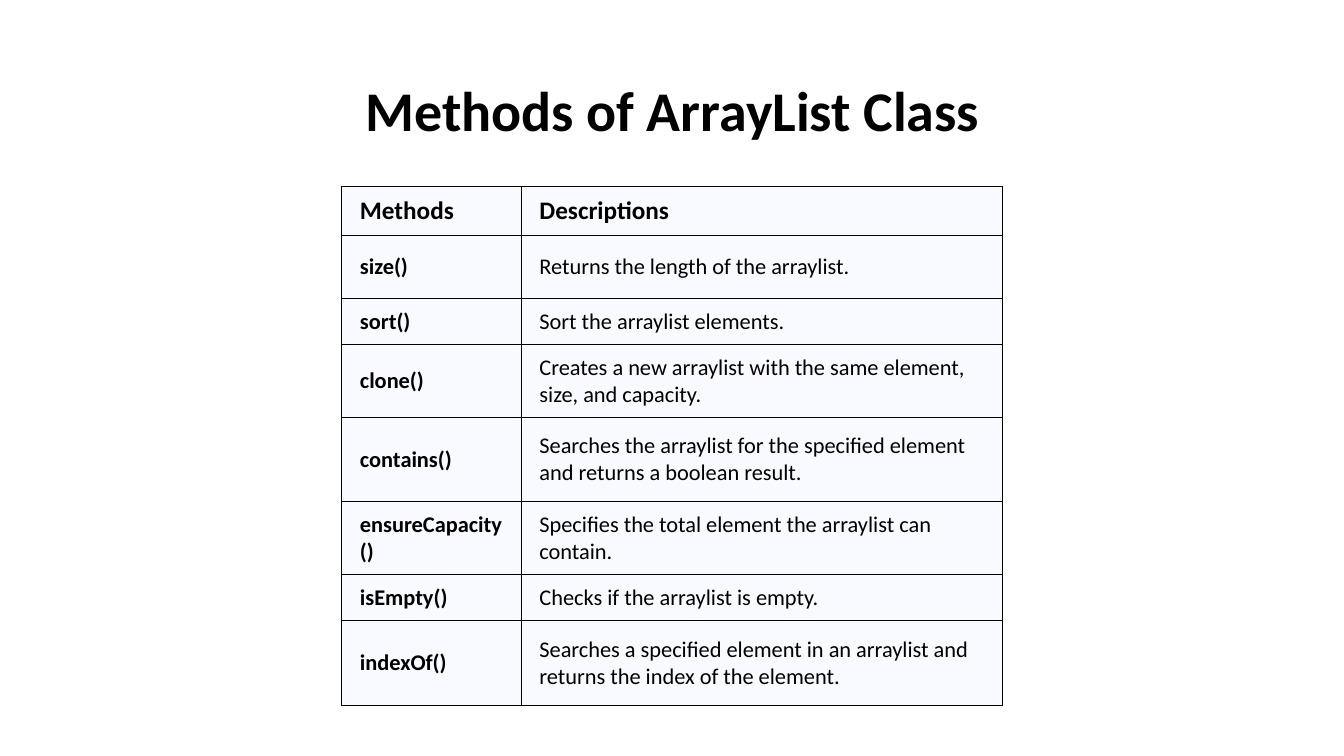
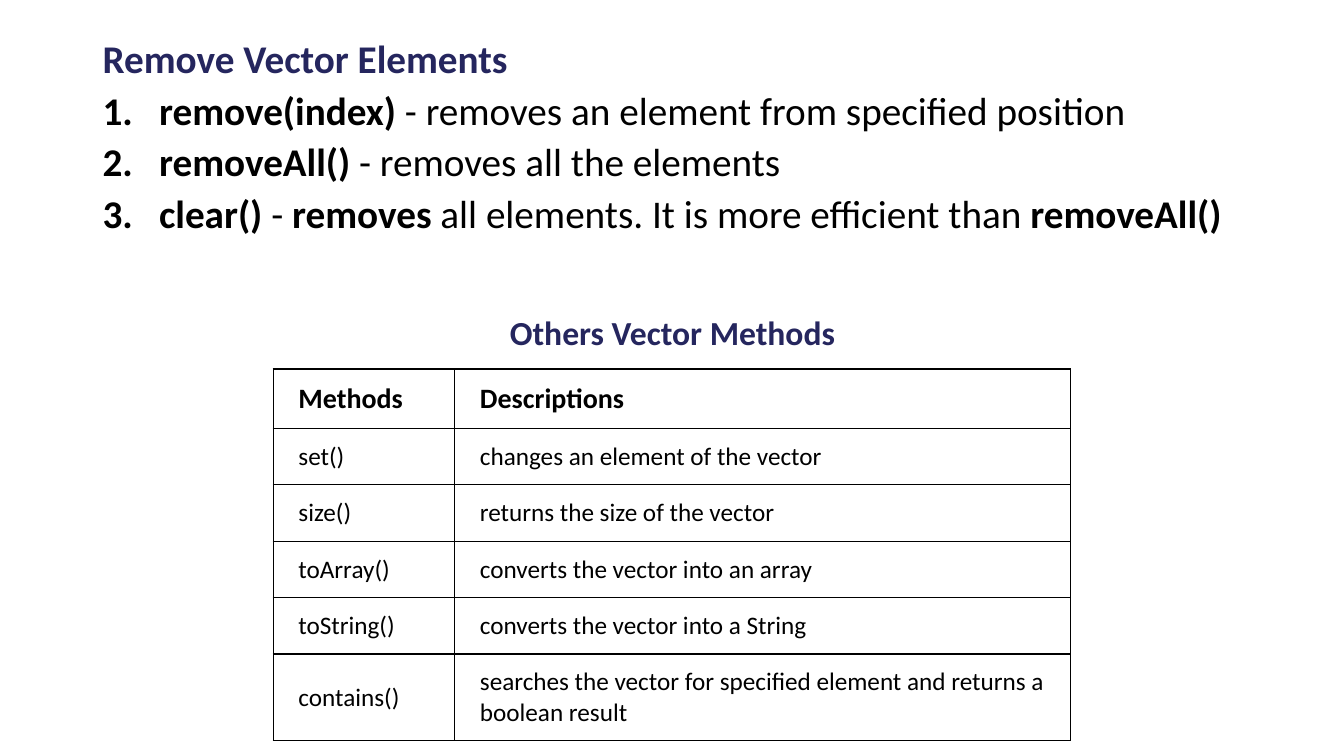
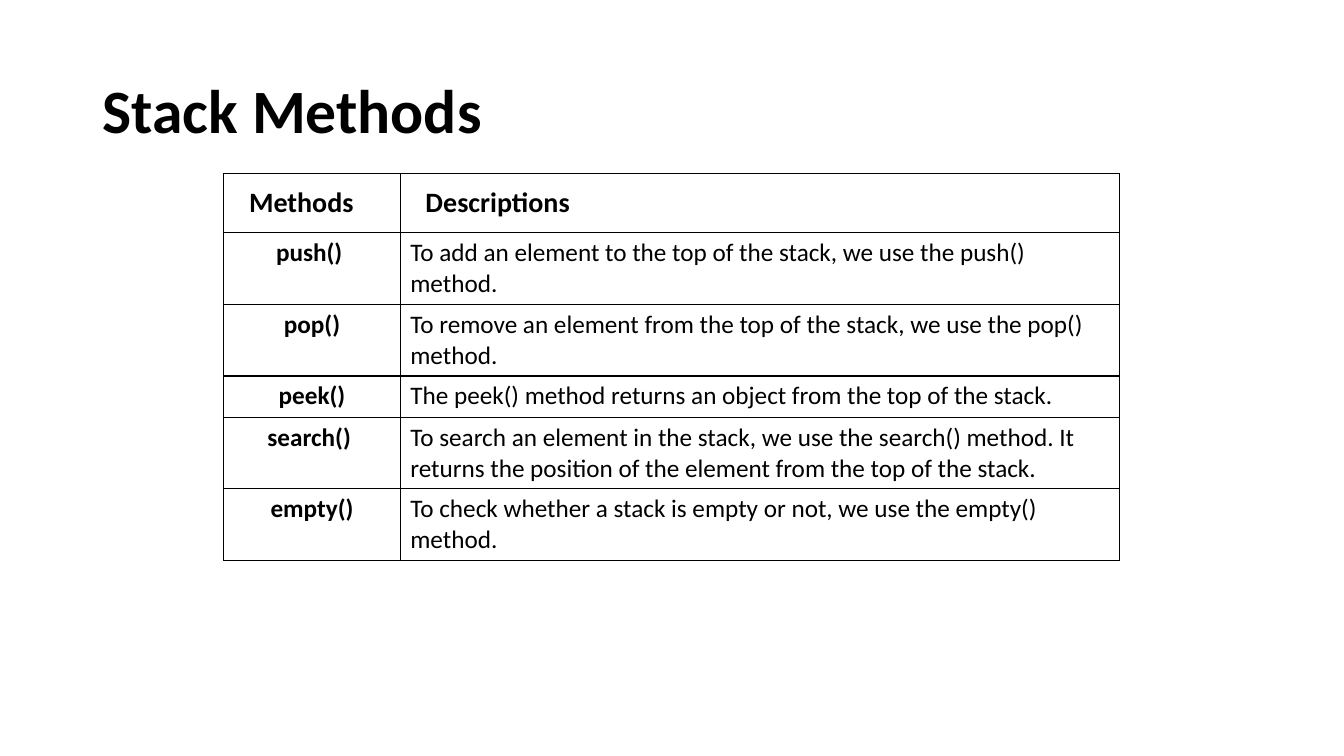
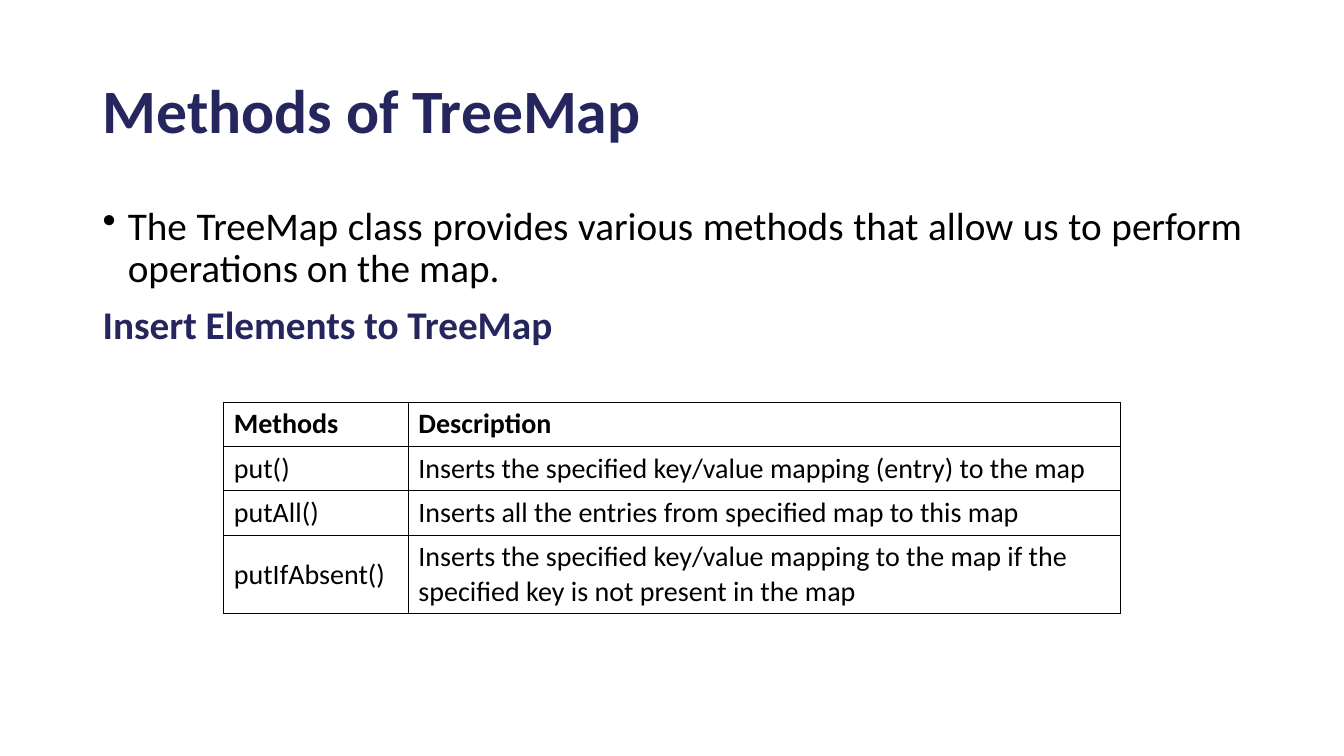
from lxml.etree import SubElement
from pptx import Presentation
from pptx.dml.color import RGBColor
from pptx.enum.text import MSO_ANCHOR, PP_ALIGN
from pptx.oxml.ns import qn
from pptx.util import Inches, Pt

FONT = "Calibri"
BLACK = "000000"
NAVY = "25265E"
PALE = "F8FAFF"
LEFT, WIDTH = 0.92, 11.5
CELL_MARGINS = (0.1, 0.05)
WIDE_MARGINS = (0.25, 0.12)


def color(value):
    """Turn a hex string into a colour."""
    return RGBColor.from_string(value)


def style_font(paragraph, size, value=BLACK, bold=False):
    """Set the shared typeface with a size, colour and weight."""
    font = paragraph.font
    font.name, font.size, font.bold = FONT, Pt(size), bold
    font.color.rgb = color(value)


def add_marker(paragraph, indent, tag, **attributes):
    """Give a paragraph a hanging bullet or number."""
    properties = paragraph._p.get_or_add_pPr()
    properties.set("marL", str(Inches(indent)))
    properties.set("indent", str(-Inches(indent)))
    SubElement(properties, qn(tag), attributes)


def add_text_frame(slide, left, top, width, height, anchor=MSO_ANCHOR.TOP):
    """Add a wrapping text box and return its frame."""
    box = slide.shapes.add_textbox(Inches(left), Inches(top), Inches(width), Inches(height))
    frame = box.text_frame
    frame.word_wrap = True
    frame.vertical_anchor = anchor
    return frame


def add_title(slide, text, size=44, value=BLACK, align=PP_ALIGN.LEFT):
    """Add the slide title."""
    paragraph = add_text_frame(slide, LEFT, 0.4, WIDTH, 1.45, MSO_ANCHOR.MIDDLE).paragraphs[0]
    paragraph.text = text
    paragraph.alignment = align
    paragraph.line_spacing = 0.9
    style_font(paragraph, size, value, True)


def add_body_paragraph(frame, text, spacing, value=BLACK, bold=False, marker=None, align=None):
    """Add a body paragraph in which asterisks enclose bold words."""
    paragraph = frame.paragraphs[0]
    if paragraph.runs:
        paragraph = frame.add_paragraph()
        paragraph.space_before = Pt(10)
    paragraph.line_spacing = spacing
    paragraph.alignment = align
    if marker:
        add_marker(paragraph, **marker)
    style_font(paragraph, 28, value, bold)
    for index, part in enumerate(text.split("*")):
        if part:
            run = paragraph.add_run()
            run.text = part
            if index % 2:
                run.font.bold = True


def add_borders(cell):
    """Draw a thin black line on each side of a cell."""
    properties = cell._tc.get_or_add_tcPr()
    for side in ("a:lnL", "a:lnR", "a:lnT", "a:lnB"):
        line = SubElement(properties, qn(side), w=str(Pt(1)))
        fill = SubElement(line, qn("a:solidFill"))
        SubElement(fill, qn("a:srgbClr"), val=BLACK)


def fill_cell(cell, text, size, bold, margins, anchor, fill=None, align=PP_ALIGN.LEFT):
    """Write and style one table cell."""
    horizontal, vertical = margins
    cell.margin_left = cell.margin_right = Inches(horizontal)
    cell.margin_top = cell.margin_bottom = Inches(vertical)
    cell.vertical_anchor = anchor
    add_borders(cell)
    if fill:
        cell.fill.solid()
        cell.fill.fore_color.rgb = color(fill)
    else:
        cell.fill.background()
    paragraph = cell.text_frame.paragraphs[0]
    paragraph.text = text
    paragraph.alignment = align
    style_font(paragraph, size, bold=bold)


def add_method_table(slide, left, top, columns, heights, rows, header_size, size,
                     header_margins=CELL_MARGINS, margins=CELL_MARGINS, bold_names=False,
                     name_align=PP_ALIGN.LEFT, anchor=MSO_ANCHOR.MIDDLE, fill=None):
    """Add a bordered table of method names and descriptions."""
    table = slide.shapes.add_table(len(rows), len(columns), Inches(left), Inches(top),
                                   Inches(sum(columns)), Inches(sum(heights))).table
    table.first_row = table.horz_banding = False
    for column, width in zip(table.columns, columns):
        column.width = Inches(width)
    for row, height in zip(table.rows, heights):
        row.height = Inches(height)
    for column, text in enumerate(rows[0]):
        fill_cell(table.cell(0, column), text, header_size, True, header_margins,
                  MSO_ANCHOR.MIDDLE, fill)
    for row, (name, description) in enumerate(rows[1:], 1):
        fill_cell(table.cell(row, 0), name, size, bold_names, margins, anchor, fill, name_align)
        fill_cell(table.cell(row, 1), description, size, False, margins, anchor, fill)


def build_array_list(slide):
    """Build the ArrayList slide."""
    add_title(slide, "Methods of ArrayList Class", 40, align=PP_ALIGN.CENTER)
    rows = [
        ("Methods", "Descriptions"),
        ("size()", "Returns the length of the arraylist."),
        ("sort()", "Sort the arraylist elements."),
        ("clone()", "Creates a new arraylist with the same element, size, and capacity."),
        ("contains()", "Searches the arraylist for the specified element and returns a boolean result."),
        ("ensureCapacity()", "Specifies the total element the arraylist can contain."),
        ("isEmpty()", "Checks if the arraylist is empty."),
        ("indexOf()", "Searches a specified element in an arraylist and returns the index of the element."),
    ]
    margins = (0.18, 0.09)
    add_method_table(slide, 3.39, 1.85, (1.78, 4.77),
                     (0.49, 0.62, 0.46, 0.72, 0.84, 0.72, 0.46, 0.84), rows, 18, 16,
                     margins, margins, bold_names=True, fill=PALE)


def build_vector(slide):
    """Build the Vector slide."""
    frame = add_text_frame(slide, LEFT, 0.38, WIDTH, 2.47)
    add_body_paragraph(frame, "Remove Vector Elements", 0.8, NAVY, True)
    number = {"indent": 0.56, "tag": "a:buAutoNum", "type": "arabicPeriod"}
    for text in (
        "*remove(index) *- removes an element from specified position",
        "*removeAll() *- removes all the elements",
        "*clear() *- *removes* all elements. It is more efficient than *removeAll()*",
    ):
        add_body_paragraph(frame, text, 0.8, marker=number)
    rows = [
        ("Methods", "Descriptions"),
        ("set()", "changes an element of the vector"),
        ("size()", "returns the size of the vector"),
        ("toArray()", "converts the vector into an array"),
        ("toString()", "converts the vector into a String"),
        ("contains()", "searches the vector for specified element and returns a boolean result"),
    ]
    add_method_table(slide, 2.71, 3.66, (1.8, 6.11), (0.59, *[0.56] * 4, 0.86), rows, 20, 18,
                     WIDE_MARGINS, WIDE_MARGINS)
    caption = add_text_frame(slide, 2.71, 3.05, 7.92, 0.5).paragraphs[0]
    caption.text = "Others Vector Methods"
    caption.alignment = PP_ALIGN.CENTER
    style_font(caption, 24, NAVY, True)


def build_stack(slide):
    """Build the Stack slide."""
    add_title(slide, "Stack Methods")
    rows = [
        ("Methods", "Descriptions"),
        ("push() ", "To add an element to the top of the stack, we use the push() method."),
        ("pop()", "To remove an element from the top of the stack, we use the pop() method."),
        ("peek()", "The peek() method returns an object from the top of the stack."),
        ("search() ", "To search an element in the stack, we use the search() method. "
                      "It returns the position of the element from the top of the stack."),
        ("empty()", "To check whether a stack is empty or not, we use the empty() method."),
    ]
    add_method_table(slide, 2.22, 1.72, (1.75, 7.13), (0.59, 0.71, 0.71, 0.41, 0.71, 0.71),
                     rows, 20, 18, WIDE_MARGINS, bold_names=True,
                     name_align=PP_ALIGN.CENTER, anchor=MSO_ANCHOR.TOP)


def build_tree_map(slide):
    """Build the TreeMap slide."""
    add_title(slide, "Methods of TreeMap", value=NAVY)
    frame = add_text_frame(slide, LEFT, 2, WIDTH, 4.76)
    bullet = {"indent": 0.25, "tag": "a:buChar", "char": "•"}
    add_body_paragraph(frame, "The TreeMap class provides various methods that allow us to "
                       "perform operations on the map.", 0.9, marker=bullet,
                       align=PP_ALIGN.JUSTIFY)
    add_body_paragraph(frame, "Insert Elements to TreeMap", 0.9, NAVY, True,
                       align=PP_ALIGN.JUSTIFY)
    rows = [
        ("Methods", "Description"),
        ("put()", "Inserts the specified key/value mapping (entry) to the map"),
        ("putAll() ", "Inserts all the entries from specified map to this map"),
        ("putIfAbsent() ", "Inserts the specified key/value mapping to the map if the "
                           "specified key is not present in the map"),
    ]
    add_method_table(slide, 2.22, 3.99, (1.83, 7.06), (*[0.44] * 3, 0.78), rows, 20, 20)


def main():
    """Build and save the presentation."""
    presentation = Presentation()
    presentation.slide_width = Inches(13.33)
    presentation.slide_height = Inches(7.5)
    for build in (build_array_list, build_vector, build_stack, build_tree_map):
        build(presentation.slides.add_slide(presentation.slide_layouts[6]))
    presentation.save("out.pptx")


if __name__ == "__main__":
    main()
